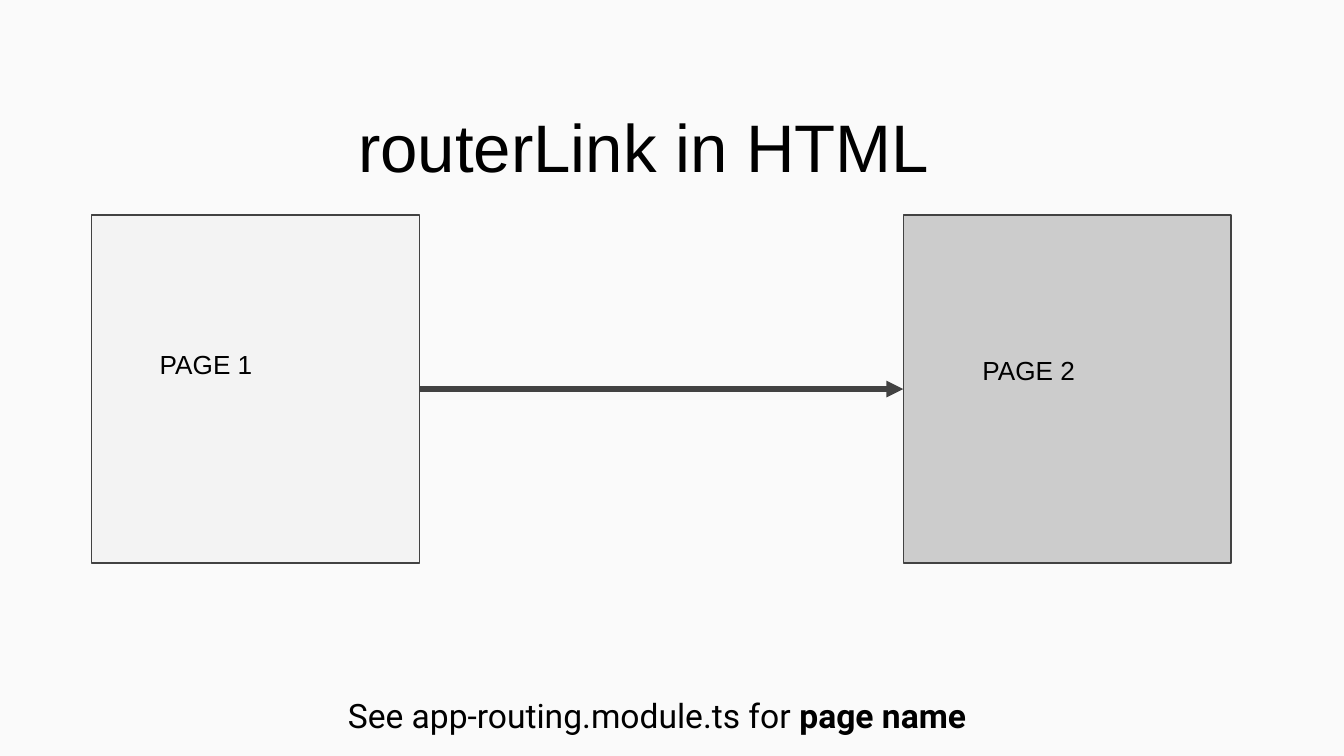
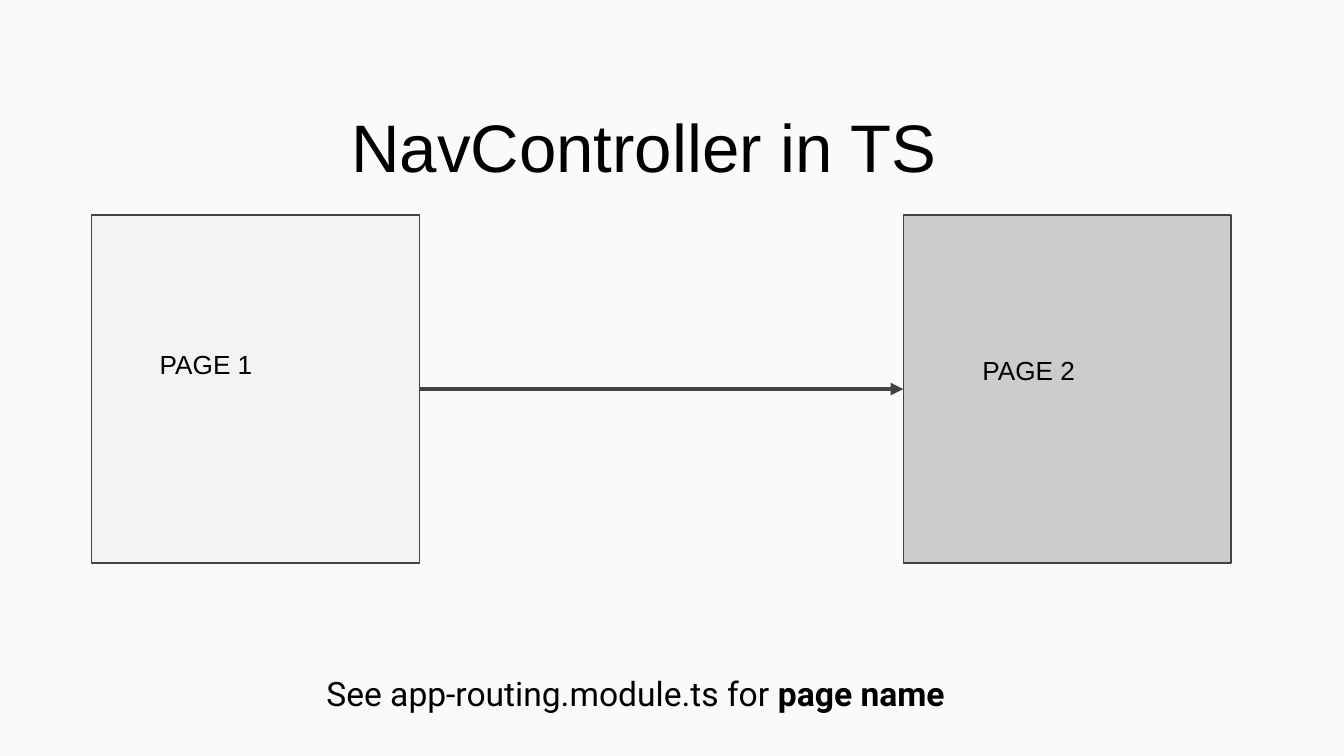
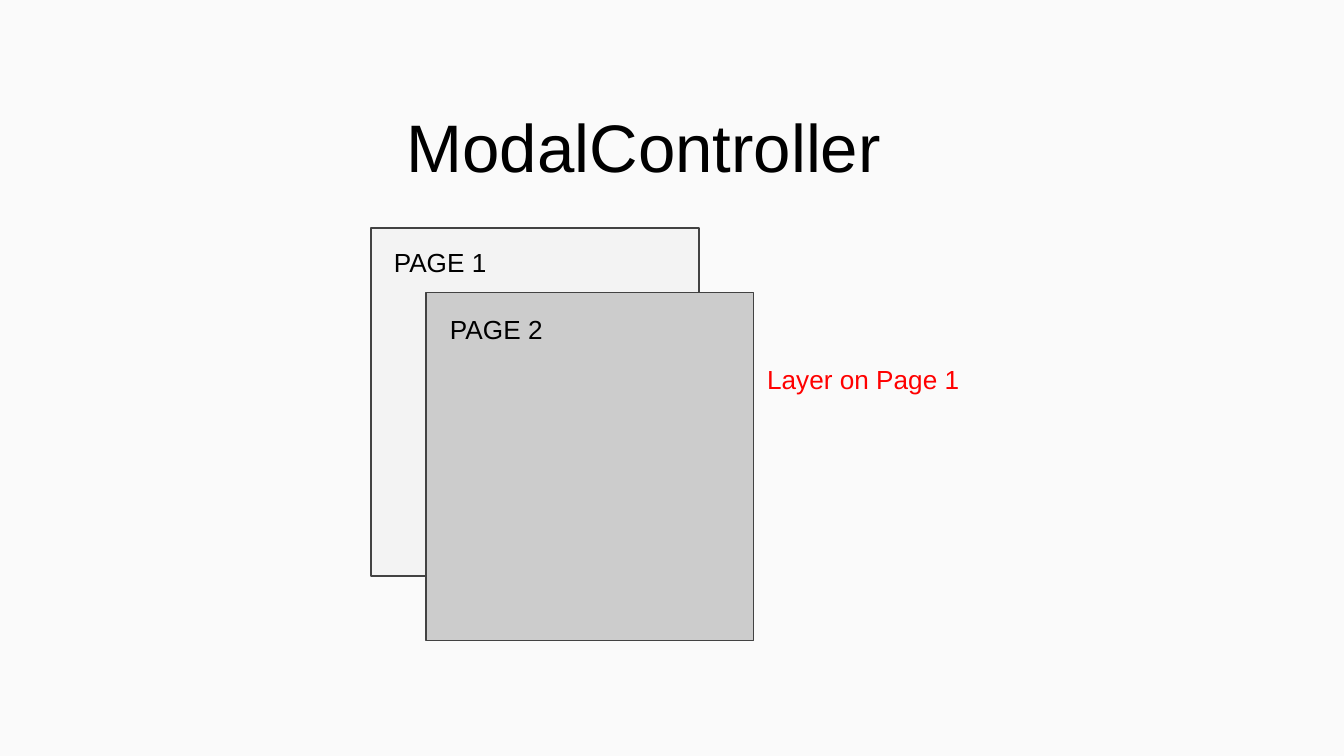
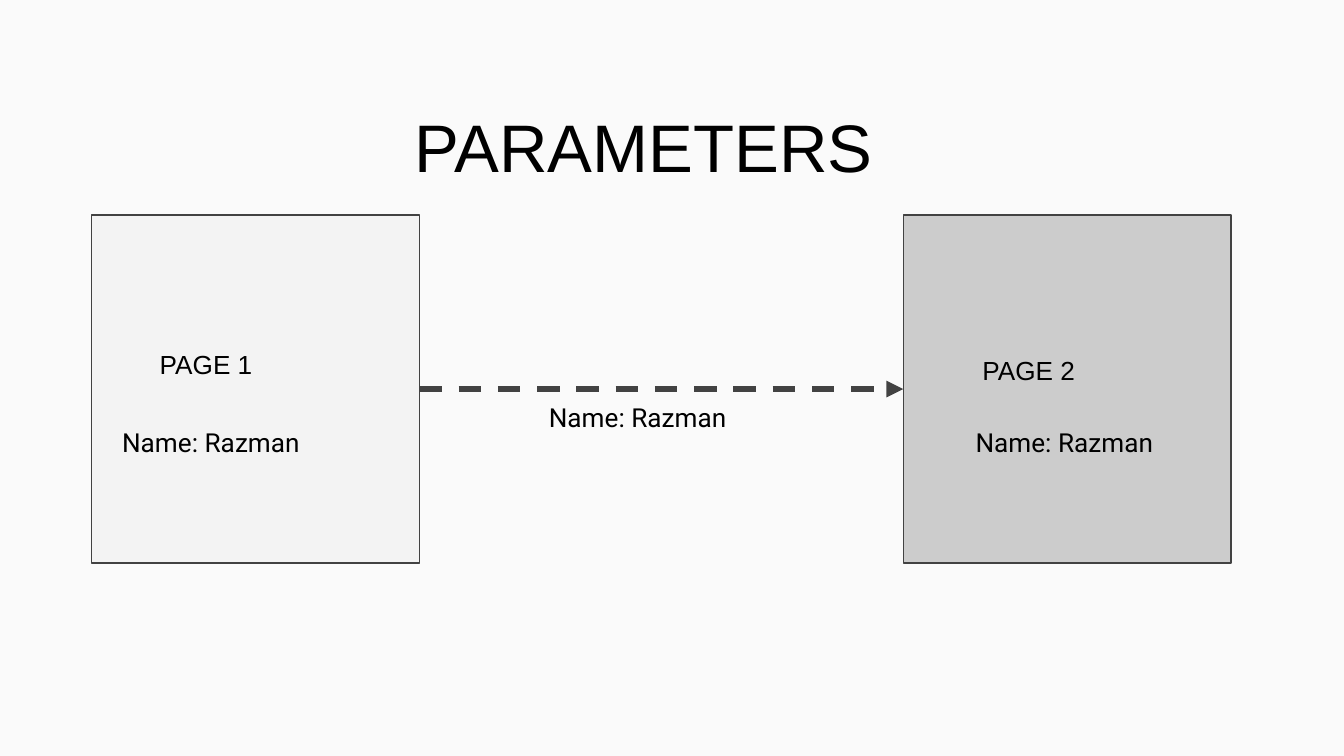
import dataclasses

import lxml.etree
import pptx
import pptx.dml.color
import pptx.enum.dml
import pptx.enum.shapes
import pptx.enum.text
import pptx.oxml.ns
import pptx.util

Pt = pptx.util.Pt


@dataclasses.dataclass(frozen=True)
class Theme:
    ground: str = "FAFAFA"
    light: str = "F3F3F3"
    dark: str = "CCCCCC"
    edge: str = "424242"
    ink: str = "000000"
    alert: str = "FF0000"
    sans: str = "Arial"
    text: str = "Roboto"
    head: int = 36
    note: int = 18
    label: int = 14


THEME = Theme()
PAGE_SIZE = 175.7, 186.5
LABEL_SIZE = 116, 51
TITLE_BOX = 124.6, 49, 440.6, 66.2
NAME_STEP = 228.6


def paint(part, tint):
    part.solid()
    part.fore_color.rgb = pptx.dml.color.RGBColor.from_string(tint)


def write(shape, runs, size, font, tint=THEME.ink, align=None):
    """Fill a shape's first paragraph with (text, bold) runs."""
    frame = shape.text_frame
    frame.word_wrap = True
    frame.auto_size = pptx.enum.text.MSO_AUTO_SIZE.NONE
    frame.vertical_anchor = pptx.enum.text.MSO_ANCHOR.TOP
    frame.margin_left = frame.margin_right = Pt(7.2)
    frame.margin_top = frame.margin_bottom = Pt(7.2)
    para = frame.paragraphs[0]
    para.alignment = align
    for words, bold in runs:
        run = para.add_run()
        run.text = words
        run.font.size = Pt(size)
        run.font.name = font
        run.font.bold = bold
        paint(run.font.fill, tint)


def add_text(slide, box, runs, size=THEME.label, font=THEME.sans,
             tint=THEME.ink):
    shape = slide.shapes.add_textbox(*map(Pt, box))
    write(shape, runs, size, font, tint)


def add_slide(deck, title):
    slide = deck.slides.add_slide(deck.slide_layouts[5])
    head = slide.shapes.title
    head.left, head.top, head.width, head.height = map(Pt, TITLE_BOX)
    write(head, [(title, False)], THEME.head, THEME.sans,
          align=pptx.enum.text.PP_ALIGN.CENTER)
    return slide


def add_page(slide, left, top, fill):
    page = slide.shapes.add_shape(
        pptx.enum.shapes.MSO_SHAPE.RECTANGLE,
        *map(Pt, (left, top, *PAGE_SIZE)))
    page.shadow.inherit = False
    paint(page.fill, fill)
    paint(page.line.fill, THEME.edge)
    page.line.width = Pt(0.75)
    return page


def add_pages(slide, spots, labels):
    """Draw both pages, then their labels; return the page shapes."""
    pages = [add_page(slide, *spot, fill)
             for spot, fill in zip(spots, (THEME.light, THEME.dark))]
    for count, spot in enumerate(labels, 1):
        add_text(slide, (*spot, *LABEL_SIZE), [(f"PAGE {count}", False)])
    return pages


def add_arrow(slide, start, end, width, dash=None):
    arrow = slide.shapes.add_connector(
        pptx.enum.shapes.MSO_CONNECTOR.STRAIGHT, 0, 0, 0, 0)
    arrow.begin_connect(start, 3)
    arrow.end_connect(end, 1)
    paint(arrow.line.fill, THEME.edge)
    arrow.line.width = Pt(width)
    if dash:
        arrow.line.dash_style = dash
    qn = pptx.oxml.ns.qn
    props = arrow.element.spPr
    lxml.etree.SubElement(props.find(qn("a:ln")), qn("a:tailEnd"),
                          type="triangle")
    lxml.etree.SubElement(props, qn("a:effectLst"))


def add_flow(deck, title, width, dash=None):
    """Add a slide with an arrow from page 1 to page 2."""
    slide = add_slide(deck, title)
    pages = add_pages(slide, [(49, 115.2), (483.9, 115.2)],
                      [(78.5, 179.3), (519.2, 182.9)])
    add_arrow(slide, *pages, width, dash)
    return slide


def add_note(slide, left, top):
    add_text(slide, (left, top, 419.8, 49),
             [("See app-routing.module.ts for ", False), ("page name", True)],
             THEME.note, THEME.text)


def add_layers(deck):
    slide = add_slide(deck, "ModalController")
    add_pages(slide, [(198.8, 122.2), (228.2, 156.8)],
              [(203.9, 124.6), (234, 160.6)])
    add_text(slide, (403.9, 187.2, 203.8, 90), [("Layer on Page 1", False)],
             tint=THEME.alert)


def add_names(slide):
    for step, top in enumerate((221, 208.1, 221)):
        add_text(slide, (58.3 + step * NAME_STEP, top, 135.4, 21.6),
                 [("Name: Razman", False)], font=THEME.text)


def main():
    deck = pptx.Presentation()
    deck.slide_width, deck.slide_height = Pt(720), Pt(405)
    paint(deck.slide_master.background.fill, THEME.ground)

    add_note(add_flow(deck, "routerLink in HTML", 3), 179.3, 365)
    add_note(add_flow(deck, "NavController in TS", 2.25), 167.8, 353.5)
    add_layers(deck)
    add_names(add_flow(deck, "PARAMETERS", 3,
                       pptx.enum.dml.MSO_LINE.DASH))
    deck.save("out.pptx")


if __name__ == "__main__":
    main()
